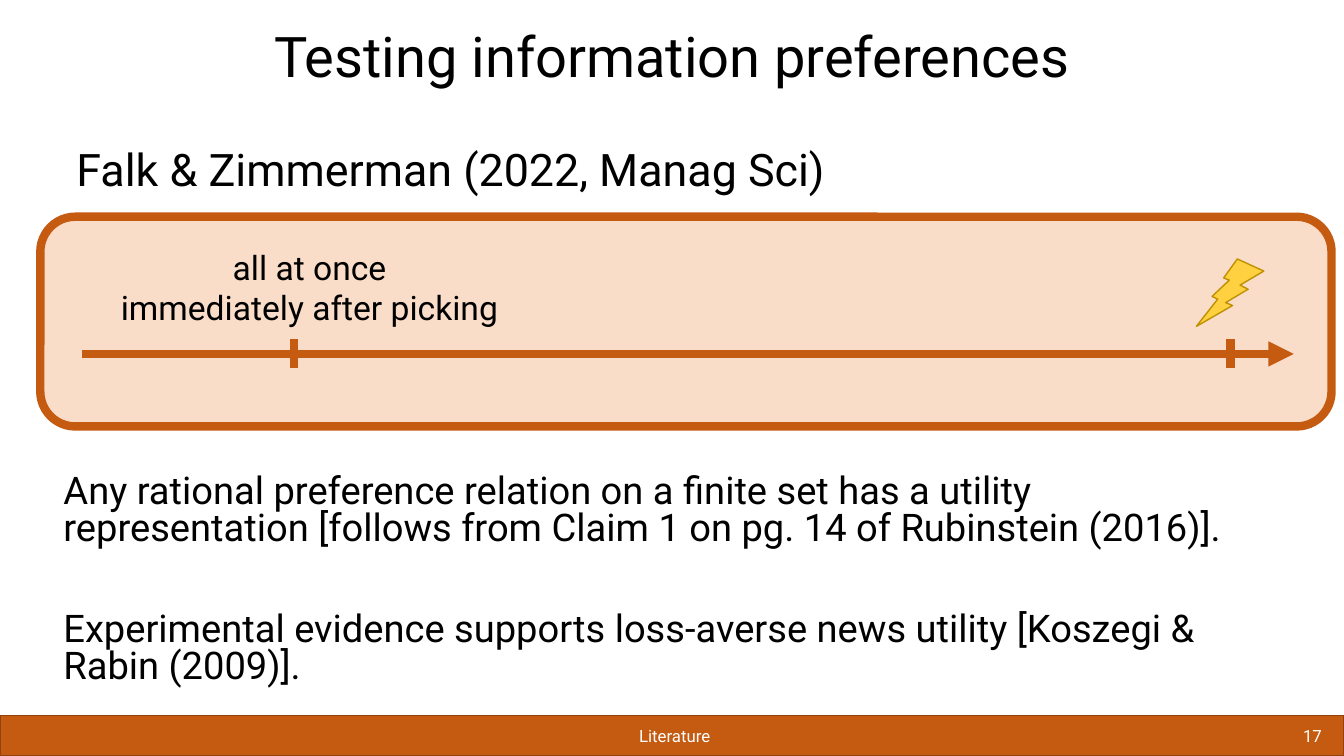
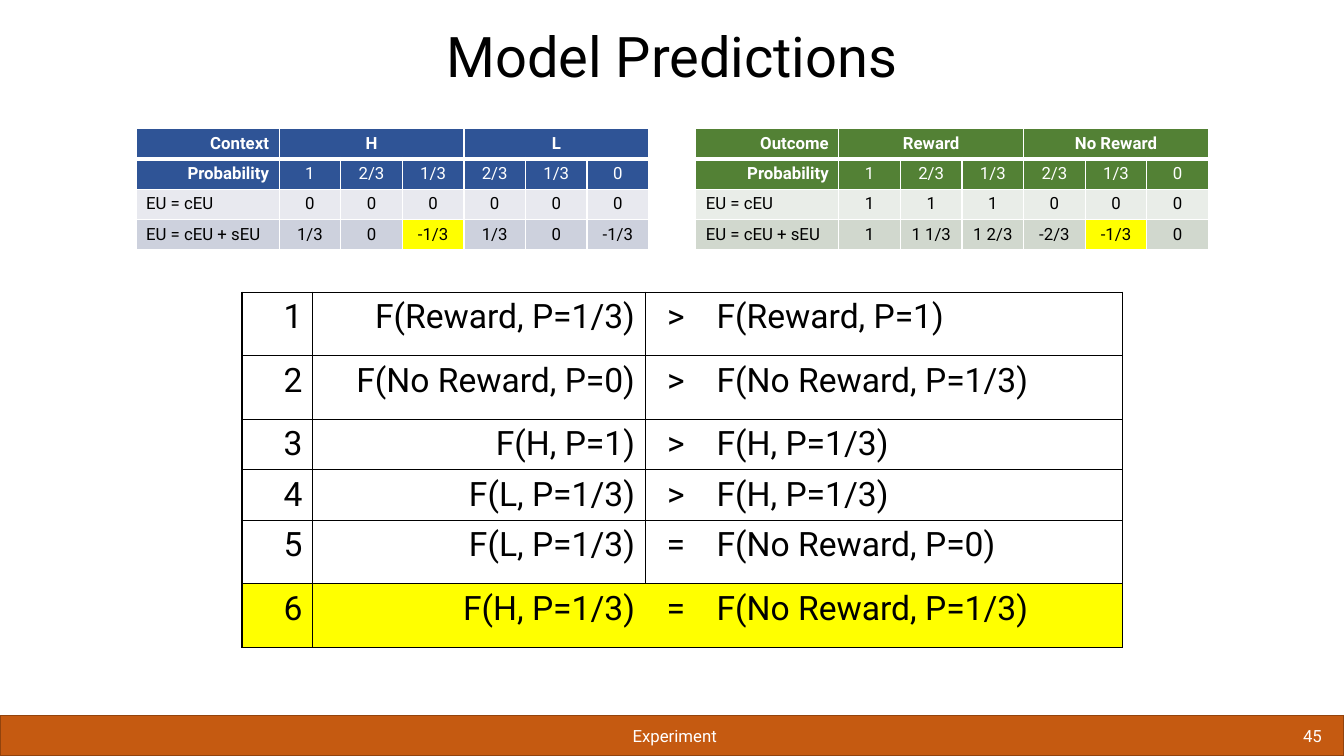
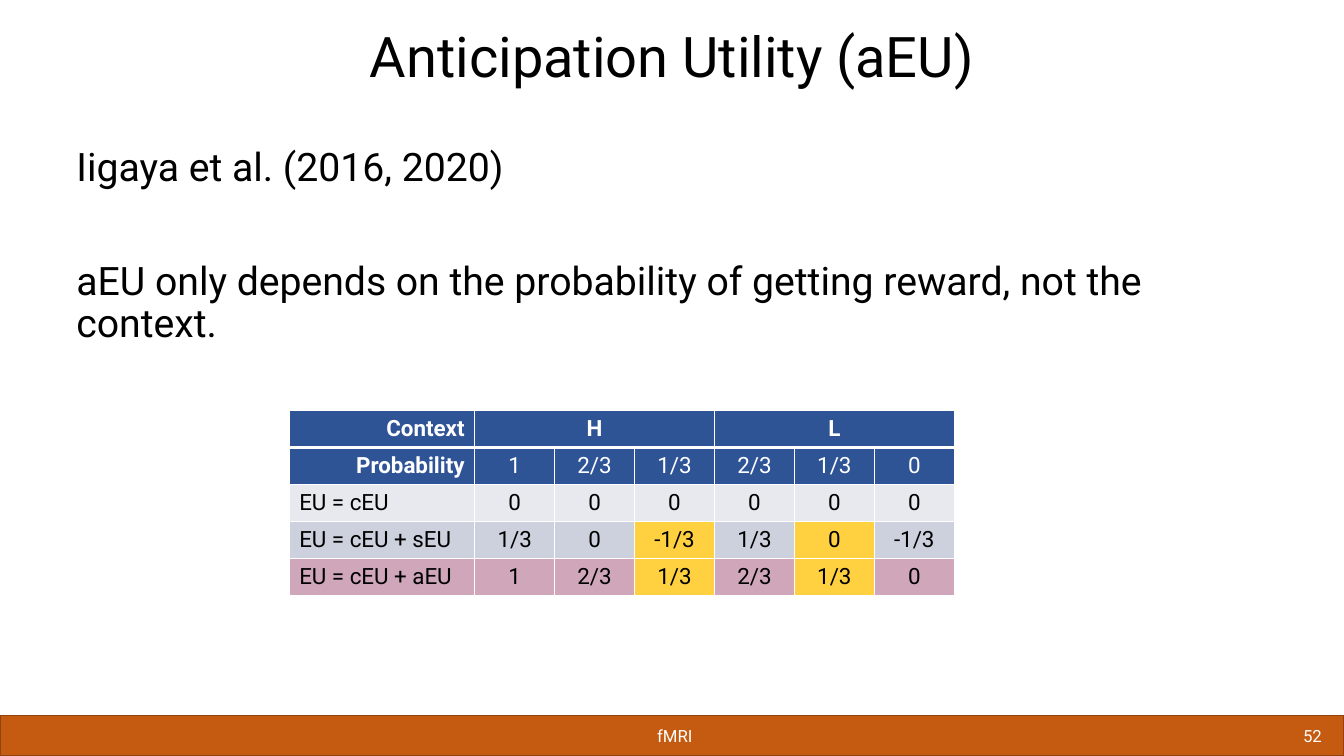
from dataclasses import dataclass

from lxml import etree
from pptx import Presentation
from pptx.dml.color import RGBColor
from pptx.enum import shapes, text
from pptx.oxml.ns import qn
from pptx.util import Pt

LEFT, CENTER, RIGHT = text.PP_ALIGN.LEFT, text.PP_ALIGN.CENTER, text.PP_ALIGN.RIGHT


@dataclass(frozen=True)
class Theme:
    font: str = "Roboto"
    ink: str = "000000"
    white: str = "FFFFFF"
    accent: str = "C55A11"
    band_edge: str = "92430D"
    card: str = "FADDC9"
    gold: str = "FFD040"
    gold_edge: str = "BF9000"
    yellow: str = "FFFF00"
    blue: str = "2F5496"
    green: str = "538135"
    blue_rows: tuple = ("E8E9EF", "CDD1DD", "D0A6BB")
    green_rows: tuple = ("E9EDE8", "D1D8CE")
    title: float = 40
    heading: float = 32
    body: float = 28
    claim: float = 27.2
    label: float = 24
    table: float = 16
    small: float = 12


THEME = Theme()
PAGE_WIDTH, PAGE_HEIGHT = 960, 540
BAND_TOP, BAND_HEIGHT = 511.2, 28.8
CONTENT_LEFT, CONTENT_WIDTH = 47.5, 864.7
BODY_BOX = (CONTENT_LEFT, 102.2, CONTENT_WIDTH, 402)


def rgb(colour):
    return RGBColor.from_string(colour)


def write(frame, lines, size=THEME.small, colour=THEME.ink, align=LEFT, bold=False,
          spacing=None, before=0, gap=0):
    """Fill a text frame; before precedes the first paragraph, gap each later one."""
    for index, line in enumerate(lines):
        para = frame.add_paragraph() if index else frame.paragraphs[0]
        para.alignment = align
        para.space_before = Pt(gap if index else before)
        if spacing:
            para.line_spacing = spacing
        span = para.add_run()
        span.text = line
        span.font.name = THEME.font
        span.font.size = Pt(size)
        span.font.bold = bold
        span.font.color.rgb = rgb(colour)


def add_text(page, box, *lines, anchor=text.MSO_ANCHOR.TOP, **style):
    frame = page.shapes.add_textbox(*map(Pt, box)).text_frame
    frame.word_wrap = True
    frame.vertical_anchor = anchor
    write(frame, lines, **style)


def add_shape(page, kind, box, fill, edge, weight=1):
    shape = page.shapes.add_shape(kind, *map(Pt, box))
    shape.shadow.inherit = False
    shape.fill.solid()
    shape.fill.fore_color.rgb = rgb(fill)
    shape.line.color.rgb = rgb(edge)
    shape.line.width = Pt(weight)
    return shape


def add_line(page, start, end, arrow=False):
    line = page.shapes.add_connector(shapes.MSO_CONNECTOR.STRAIGHT, *map(Pt, start + end))
    line.line.color.rgb = rgb(THEME.accent)
    line.line.width = Pt(6)
    if arrow:
        etree.SubElement(line.line._get_or_add_ln(), qn("a:tailEnd"), type="triangle")
    etree.SubElement(line._element.spPr, qn("a:effectLst"))


def set_borders(cell, colour, left=0, right=0, top=0, bottom=0):
    """Draw each side at its width in points; zero leaves the side bare."""
    properties = cell._tc.get_or_add_tcPr()
    for side, width in zip("LRTB", (left, right, top, bottom)):
        edge = etree.SubElement(properties, qn("a:ln" + side), w=str(int(Pt(width))))
        if width:
            solid = etree.SubElement(edge, qn("a:solidFill"))
            etree.SubElement(solid, qn("a:srgbClr"), val=colour)
        else:
            etree.SubElement(edge, qn("a:noFill"))


def fill_cell(cell, colour):
    if colour:
        cell.fill.solid()
        cell.fill.fore_color.rgb = rgb(colour)
    else:
        cell.fill.background()


def add_grid(page, origin, widths, heights):
    frame = page.shapes.add_table(len(heights), len(widths),
                                  *map(Pt, (*origin, sum(widths), sum(heights))))
    grid = frame.table
    for column, width in zip(grid.columns, widths):
        column.width = Pt(width)
    for row, height in zip(grid.rows, heights):
        row.height = Pt(height)
    return grid


def add_page(deck, title, section, number):
    """Start a page with its title, footer band, section name and number."""
    page = deck.slides.add_slide(deck.slide_layouts[6])
    add_shape(page, shapes.MSO_SHAPE.RECTANGLE,
              (0, BAND_TOP, PAGE_WIDTH, BAND_HEIGHT), THEME.accent, THEME.band_edge)
    add_text(page, (CONTENT_LEFT, 16.6, CONTENT_WIDTH, 51.1), title, size=THEME.title,
             align=CENTER, spacing=0.9, anchor=text.MSO_ANCHOR.BOTTOM)
    for left, width, words, align in ((161, 642, section, CENTER),
                                      (803, 148.3, str(number), RIGHT)):
        add_text(page, (left, BAND_TOP, width, BAND_HEIGHT), words, colour=THEME.white,
                 align=align, anchor=text.MSO_ANCHOR.MIDDLE)
    return page


def add_timeline(page, box):
    left, top, width, _ = box
    add_shape(page, shapes.MSO_SHAPE.ROUNDED_RECTANGLE, box, THEME.card, THEME.accent, 6)
    axis = top + 98
    add_line(page, (left + 30, axis), (left + width - 27, axis), arrow=True)
    for offset in (181.4, 850.3):
        add_line(page, (left + offset, axis + 10.4), (left + offset, axis - 10.4))
    add_text(page, (left + 42.5, top + 18, 299.5, 65.5), "all at once",
             "immediately after picking", size=THEME.label, align=CENTER)
    bolt = add_shape(page, shapes.MSO_SHAPE.LIGHTNING_BOLT,
                     (left + 825.8, top + 30.2, 48.2, 48.2), THEME.gold, THEME.gold_edge)
    bolt._element.spPr.xfrm.set("flipH", "1")


def add_utility_table(page, origin, label_width, value_width, row_height, size,
                      header, groups, rows, head_fill, row_fills, marks, mark_fill):
    """Two header rows, then one row of six values for each utility model."""
    lines = [(header, groups[0], "", "", groups[1], "", ""),
             ("Probability", "1", "2/3", "1/3", "2/3", "1/3", "0"), *rows]
    fills = (head_fill, head_fill, *row_fills)
    grid = add_grid(page, origin, [label_width] + [value_width] * 6,
                    [row_height] * len(lines))
    for first in (1, 4):
        grid.cell(0, first).merge(grid.cell(0, first + 2))
    for r, line in enumerate(lines):
        is_head = r < 2
        for c, words in enumerate(line):
            cell = grid.cell(r, c)
            set_borders(cell, THEME.white, left=1, right=1, top=3 if r == 1 else 1,
                        bottom=1 if r else 3)
            fill_cell(cell, mark_fill if (r, c) in marks else fills[r])
            if words:
                write(cell.text_frame, [words], size=size,
                      colour=THEME.white if is_head else THEME.ink,
                      bold=r == 0 or (is_head and c == 0),
                      align=CENTER if c else RIGHT if is_head else LEFT)


def add_prediction_table(page, origin, predictions):
    tall, short = 45.4, 35.3
    grid = add_grid(page, origin, (50.4, 237.6, 43.9, 297.4),
                    (tall, tall, short, short, tall, tall))
    last = len(predictions) - 1
    for r, prediction in enumerate(predictions):
        divider = 0 if r == last else 0.75
        sides = ((1, 1), (1, divider), (divider, 0), (0, 1))
        cells = zip((str(r + 1), *prediction), sides, (RIGHT, RIGHT, CENTER, LEFT))
        for c, (words, (left, right), align) in enumerate(cells):
            cell = grid.cell(r, c)
            set_borders(cell, THEME.ink, left=left, right=right, top=1, bottom=1)
            fill_cell(cell, THEME.yellow if r == last else None)
            write(cell.text_frame, [words], size=THEME.label, align=align)


CONTEXT = dict(
    header="Context", groups=("H", "L"), head_fill=THEME.blue)
CONTEXT_ROWS = [("EU = cEU", "0", "0", "0", "0", "0", "0"),
                ("EU = cEU + sEU", "1/3", "0", "-1/3", "1/3", "0", "-1/3")]
ANTICIPATION_ROW = ("EU = cEU + aEU", "1", "2/3", "1/3", "2/3", "1/3", "0")
OUTCOME = dict(
    header="Outcome", groups=("Reward", "No Reward"), head_fill=THEME.green,
    row_fills=THEME.green_rows,
    rows=[("EU = cEU", "1", "1", "1", "0", "0", "0"),
          ("EU = cEU + sEU", "1", "1 1/3", "1 2/3", "-2/3", "-1/3", "0")])
PREDICTIONS = [
    ("F(Reward, P=1/3)", ">", "F(Reward, P=1)"),
    ("F(No Reward, P=0)", ">", "F(No Reward, P=1/3)"),
    ("F(H, P=1)", ">", "F(H, P=1/3)"),
    ("F(L, P=1/3)", ">", "F(H, P=1/3)"),
    ("F(L, P=1/3)", "=", "F(No Reward, P=0)"),
    ("F(H, P=1/3)", "=", "F(No Reward, P=1/3)"),
]


def build_literature(deck):
    page = add_page(deck, "Testing information preferences", "Literature", 17)
    add_timeline(page, (28.8, 154.8, 922.3, 149.8))
    add_text(page, BODY_BOX, "Falk & Zimmerman (2022, Manag Sci)", size=THEME.heading,
             spacing=0.9, before=10)
    add_text(page, (38.2, 336.2, CONTENT_WIDTH, 171.4),
             "Any rational preference relation on a finite set has a utility representation "
             "[follows from Claim 1 on pg. 14 of Rubinstein (2016)].",
             "Experimental evidence supports loss-averse news utility "
             "[Koszegi & Rabin (2009)].",
             size=THEME.claim, spacing=0.8, before=10, gap=46)


def build_predictions(deck):
    page = add_page(deck, "Model Predictions", "Experiment", 45)
    add_prediction_table(page, (172.8, 208.8), PREDICTIONS)
    compact = dict(label_width=102.2, value_width=44, row_height=21.2, size=THEME.small,
                   mark_fill=THEME.yellow)
    add_utility_table(page, (97.2, 91.8), rows=CONTEXT_ROWS, marks={(3, 3)},
                      row_fills=THEME.blue_rows[:2], **CONTEXT, **compact)
    add_utility_table(page, (497, 91.8), marks={(3, 5)}, **OUTCOME, **compact)


def build_anticipation(deck):
    page = add_page(deck, "Anticipation Utility (aEU)", "fMRI", 52)
    add_text(page, BODY_BOX, "Iigaya et al. (2016, 2020)",
             "aEU only depends on the probability of getting reward, not the context.",
             size=THEME.body, spacing=0.9, before=10, gap=51)
    add_utility_table(page, (206.6, 293.3), label_width=132.5, value_width=57.1,
                      row_height=25.8, size=THEME.table,
                      rows=CONTEXT_ROWS + [ANTICIPATION_ROW], row_fills=THEME.blue_rows,
                      marks={(r, c) for r in (3, 4) for c in (3, 5)},
                      mark_fill=THEME.gold, **CONTEXT)


def main():
    deck = Presentation()
    deck.slide_width, deck.slide_height = Pt(PAGE_WIDTH), Pt(PAGE_HEIGHT)
    for build in (build_literature, build_predictions, build_anticipation):
        build(deck)
    deck.save("out.pptx")


if __name__ == "__main__":
    main()
